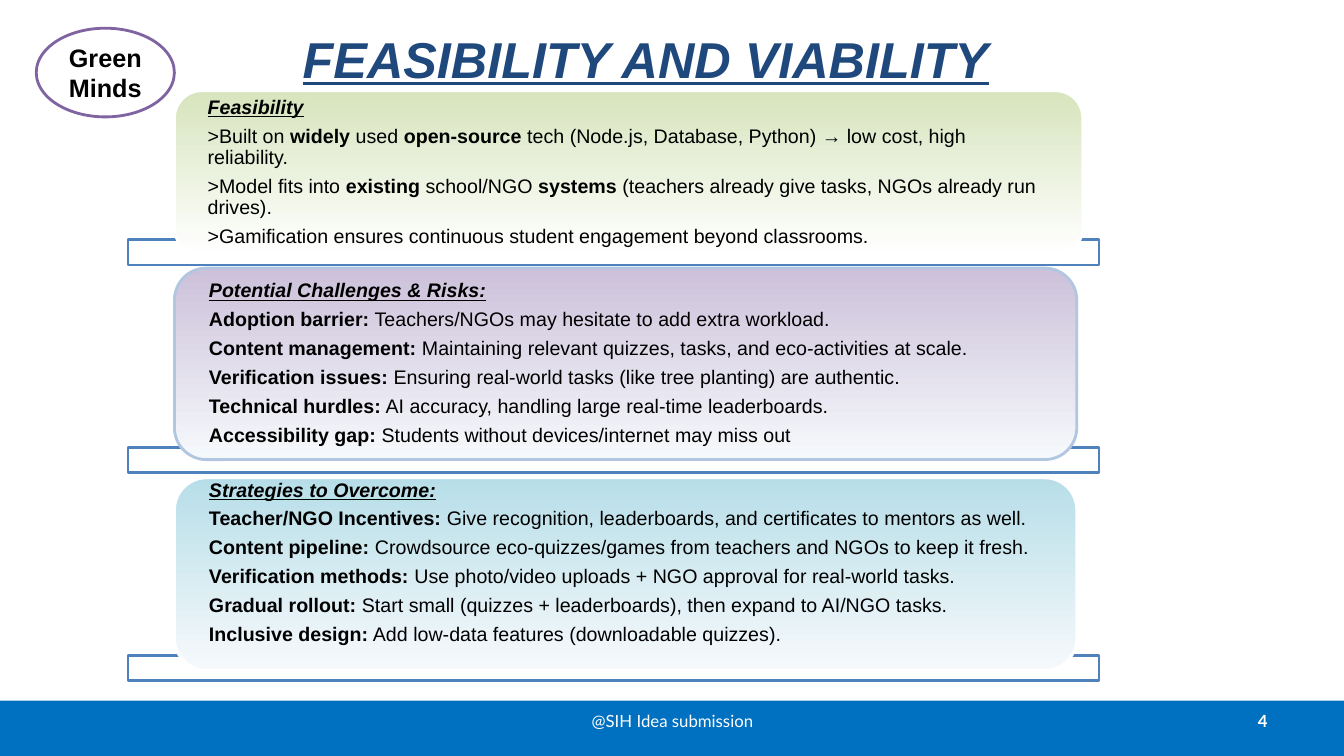
"""Build the feasibility and viability slide."""
import pptx
import pptx.dml.color
import pptx.enum.shapes
import pptx.enum.text
import pptx.util

Inches = pptx.util.Inches
Pt = pptx.util.Pt
RGBColor = pptx.dml.color.RGBColor
MSO_SHAPE = pptx.enum.shapes.MSO_SHAPE
PP_ALIGN = pptx.enum.text.PP_ALIGN
MSO_ANCHOR = pptx.enum.text.MSO_ANCHOR

WHITE = RGBColor(0xFF, 0xFF, 0xFF)
BLACK = RGBColor(0x00, 0x00, 0x00)
NAVY = RGBColor(0x1F, 0x49, 0x7D)
FOOTER_BLUE = RGBColor(0x00, 0x70, 0xC0)
STRIP_BLUE = RGBColor(0x4F, 0x81, 0xBD)
BADGE_PURPLE = RGBColor(0x80, 0x64, 0xA2)
EDGE_BLUE = RGBColor(0xB0, 0xC6, 0xE1)
PALE_BLUE = RGBColor(0xF6, 0xF9, 0xFC)
GREEN = RGBColor(0xD7, 0xE4, 0xBD)
LILAC = RGBColor(0xCC, 0xC1, 0xDA)
AQUA = RGBColor(0xB7, 0xDE, 0xE8)

STRIP_TOP, STRIP_PITCH = 2.38, 2.06

# Each section: top, width, height, bottom inset, top colour, bottom colour, edge, heading, lines
SECTIONS = [
    (0.9, 9.01, 1.63, 0, GREEN, WHITE, WHITE, "Feasibility", [
        ">Built on *widely* used *open-source* tech (Node.js, Database, Python) → low cost, high reliability.",
        ">Model fits into *existing* school/NGO *systems* (teachers already give tasks, NGOs already run drives).",
        ">Gamification ensures continuous student engagement beyond classrooms.",
    ]),
    (2.66, 8.95, 1.9, 0, LILAC, PALE_BLUE, EDGE_BLUE, "Potential Challenges & Risks:", [
        "*Adoption barrier:* Teachers/NGOs may hesitate to add extra workload.",
        "*Content management:* Maintaining relevant quizzes, tasks, and eco-activities at scale.",
        "*Verification issues:* Ensuring real-world tasks (like tree planting) are authentic.",
        "*Technical hurdles:* AI accuracy, handling large real-time leaderboards.",
        "*Accessibility gap:* Students without devices/internet may miss out",
    ]),
    (4.74, 8.95, 1.91, 0.22, AQUA, PALE_BLUE, WHITE, "Strategies to Overcome:", [
        "*Teacher/NGO Incentives:* Give recognition, leaderboards, and certificates to mentors as well.",
        "*Content pipeline:* Crowdsource eco-quizzes/games from teachers and NGOs to keep it fresh.",
        "*Verification methods:* Use photo/video uploads + NGO approval for real-world tasks.",
        "*Gradual rollout:* Start small (quizzes + leaderboards), then expand to AI/NGO tasks.",
        "*Inclusive design:* Add low-data features (downloadable quizzes).",
    ]),
]


def format_run(run, size, color, bold=False, emphasis=False, font="Arial"):
    run.font.name = font
    run.font.size = Pt(size)
    run.font.color.rgb = color
    run.font.bold = bold
    run.font.italic = emphasis
    run.font.underline = emphasis


def set_line(frame, text, align, size, color, **style):
    frame.word_wrap = True
    frame.vertical_anchor = MSO_ANCHOR.MIDDLE
    frame.text = text
    frame.paragraphs[0].alignment = align
    format_run(frame.paragraphs[0].runs[0], size, color, **style)


def add_shape(slide, kind, left, top, width, height, fill, edge=None):
    shape = slide.shapes.add_shape(
        kind, Inches(left), Inches(top), Inches(width), Inches(height))
    shape.shadow.inherit = False
    shape.fill.solid()
    shape.fill.fore_color.rgb = fill
    if edge is None:
        shape.line.fill.background()
    else:
        shape.line.color.rgb = edge
        shape.line.width = Pt(2)
    return shape


def add_footer_text(slide, text, left, width, align, bold):
    label = slide.shapes.add_textbox(Inches(left), Inches(6.95), Inches(width), Inches(0.4))
    set_line(label.text_frame, text, align, 12, WHITE, bold=bold, font="Lato")


def write_section(frame, heading, lines, bottom_inset):
    frame.word_wrap = True
    frame.vertical_anchor = MSO_ANCHOR.MIDDLE
    frame.margin_left = frame.margin_right = Inches(0.25)
    frame.margin_top = 0
    frame.margin_bottom = Inches(bottom_inset)
    frame.text = heading
    format_run(frame.paragraphs[0].runs[0], 14, BLACK, bold=True, emphasis=True)
    for line in lines:
        paragraph = frame.add_paragraph()
        for position, part in enumerate(line.split("*")):
            if part:
                run = paragraph.add_run()
                run.text = part
                format_run(run, 14, BLACK, bold=position % 2 == 1)
    for paragraph in frame.paragraphs:
        paragraph.alignment = PP_ALIGN.LEFT
        paragraph.line_spacing = 0.9
        paragraph.space_after = Pt(5.5)


def add_section(slide, strip_top, section):
    top, width, height, bottom_inset, upper, lower, edge, heading, lines = section
    add_shape(slide, MSO_SHAPE.RECTANGLE, 1.27, strip_top, 9.63, 0.25, WHITE, STRIP_BLUE)
    panel = add_shape(slide, MSO_SHAPE.ROUNDED_RECTANGLE, 1.73, top, width, height, upper, edge)
    panel.fill.gradient()
    panel.fill.gradient_angle = 90
    for stop, color in zip(panel.fill.gradient_stops, (lower, upper)):
        stop.color.rgb = color
    write_section(panel.text_frame, heading, lines, bottom_inset)


def main():
    deck = pptx.Presentation()
    deck.slide_width, deck.slide_height = Inches(13.33), Inches(7.5)
    slide = deck.slides.add_slide(deck.slide_layouts[5])

    title = slide.shapes.title
    title.left, title.top = Inches(0.15), Inches(-0.05)
    title.width, title.height = Inches(12.51), Inches(1.25)
    set_line(title.text_frame, "FEASIBILITY AND VIABILITY", PP_ALIGN.CENTER, 36, NAVY,
             bold=True, emphasis=True)

    add_shape(slide, MSO_SHAPE.RECTANGLE, 0, 6.95, 13.33, 0.55, FOOTER_BLUE)
    add_footer_text(slide, "@SIH Idea submission", 4.56, 4.22, PP_ALIGN.CENTER, False)
    add_footer_text(slide, "4", 9.56, 3.11, PP_ALIGN.RIGHT, True)

    badge = add_shape(slide, MSO_SHAPE.OVAL, 0.36, 0.28, 1.37, 0.88, WHITE, BADGE_PURPLE)
    set_line(badge.text_frame, "Green Minds", PP_ALIGN.CENTER, 18, BLACK, bold=True)

    for index, section in enumerate(SECTIONS):
        add_section(slide, STRIP_TOP + index * STRIP_PITCH, section)

    deck.save("out.pptx")


if __name__ == "__main__":
    main()
